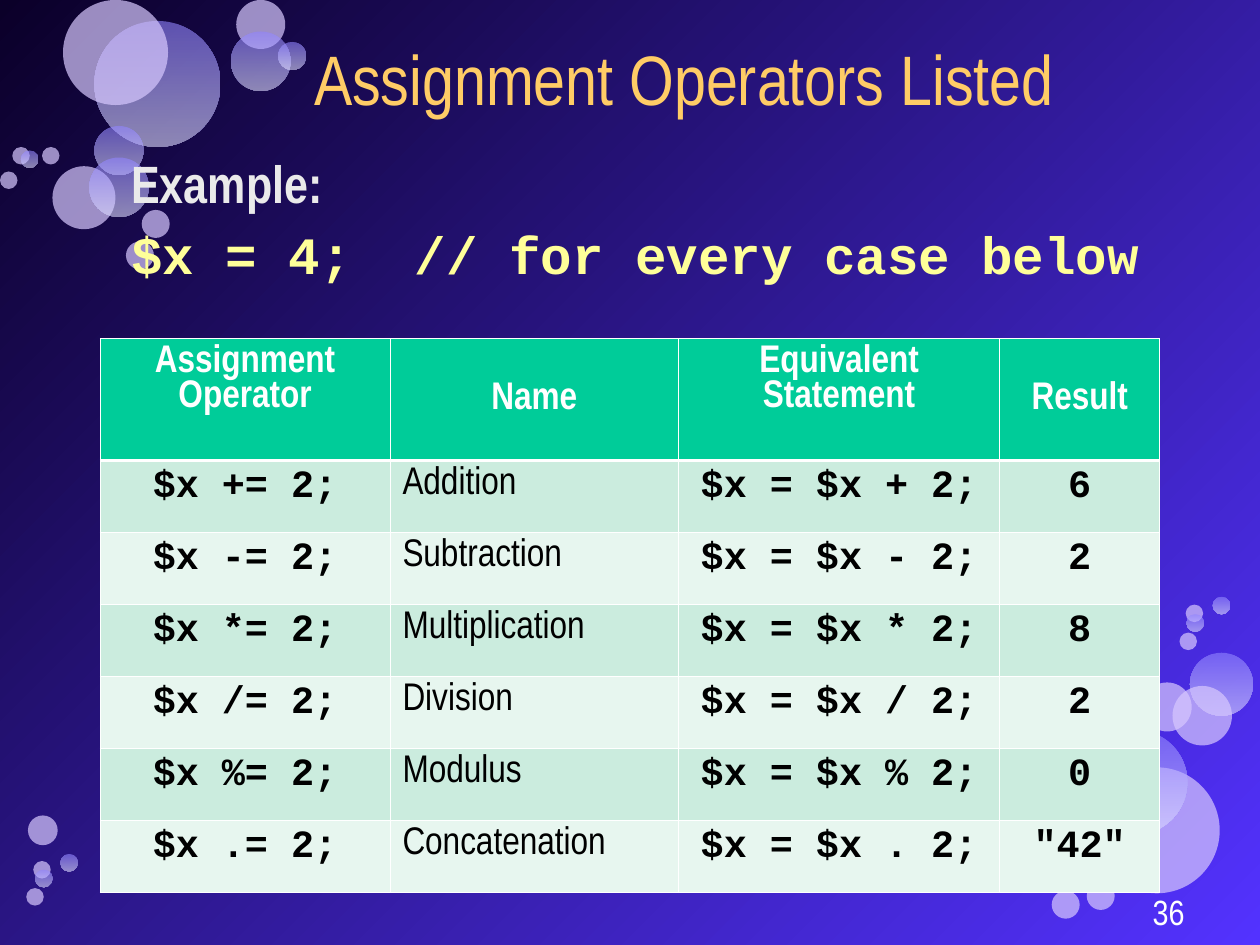
import pptx
import pptx.dml.color
import pptx.enum.shapes
import pptx.enum.text
import pptx.oxml
import pptx.oxml.ns
import pptx.util
from lxml import etree

Pt = pptx.util.Pt
RGB = pptx.dml.color.RGBColor
ALIGN = pptx.enum.text.PP_ALIGN
ANCHOR = pptx.enum.text.MSO_ANCHOR
qn = pptx.oxml.ns.qn

NIGHT = RGB(0x0B, 0x00, 0x29)
VIOLET = RGB(0x53, 0x32, 0xFF)
LAVENDER = RGB(0xD7, 0xC8, 0xFE)
PERIWINKLE = RGB(0x91, 0x85, 0xFF)
PALE = RGB(0xDE, 0xDC, 0xFF)
GOLD = RGB(0xFF, 0xCC, 0x66)
SILVER = RGB(0xEA, 0xEA, 0xEA)
YELLOW = RGB(0xFF, 0xFF, 0x99)
WHITE = RGB(0xFF, 0xFF, 0xFF)
BLACK = RGB(0x00, 0x00, 0x00)
GREEN = RGB(0x00, 0xCC, 0x99)
MINT = RGB(0xCB, 0xEC, 0xDE)
LIGHT_MINT = RGB(0xE7, 0xF6, 0xEF)

SANS, MONO = "Arial Narrow", "Courier New"
TITLE = dict(name=SANS, size=Pt(40), bold=False, color=GOLD)
LABEL = dict(name=SANS, size=Pt(30), bold=True, color=SILVER)
SAMPLE = dict(name=MONO, size=Pt(30), bold=True, color=YELLOW)
HEADING = dict(name=SANS, size=Pt(22), bold=True, color=WHITE)
CODE = dict(name=MONO, size=Pt(22), bold=True, color=BLACK)
WORD = dict(name=SANS, size=Pt(22), bold=False, color=BLACK)
NUMBER = dict(name=SANS, size=Pt(20), bold=False, color=WHITE)

MIST, GLOW = "mist", "glow"
BUBBLES = [
    (54, 12, 72, GLOW), (30, 95, 36, MIST), (54, 72, 28, GLOW), (51, 90, 34, GLOW),
    (36, 0, 60, MIST), (135, 0, 28, MIST), (132, 18, 34, GLOW), (159, 24, 16, GLOW),
    (81, 120, 16, MIST), (7, 84, 10, MIST), (72, 138, 16, MIST), (0, 98, 10, MIST),
    (12, 86, 10, GLOW), (24, 84, 10, MIST),
    (625, 438.5, 72, MIST), (680, 373, 36, GLOW), (653, 390, 28, MIST),
    (670, 392, 34, MIST), (618.5, 417, 60, GLOW), (16, 466, 17, MIST),
    (582, 454, 34, MIST), (584, 480, 16, GLOW), (601, 509, 16, MIST),
    (677.5, 345.5, 10, MIST), (621, 504, 16, MIST), (693, 341, 10, GLOW),
    (678, 351, 10, GLOW), (674, 361.5, 10, MIST), (19, 492, 10, MIST),
    (34.5, 488, 10, GLOW), (20, 497, 10, GLOW), (15, 507.5, 10, MIST),
]

HEADERS = ["Assignment Operator", "Name", "Equivalent Statement", "Result"]
OPERATORS = [("+", "Addition", "6"), ("-", "Subtraction", "2"),
             ("*", "Multiplication", "8"), ("/", "Division", "2"),
             ("%", "Modulus", "0"), (".", "Concatenation", '"42"')]
COLUMN_WIDTHS = [165.6, 164.9, 183.6, 91.4]
HEADER_HEIGHT, ROW_HEIGHT = 69.7, 41.14


def assign(target, values):
    for key, value in values.items():
        setattr(target, key, value)


class BubbleDeck:
    def __init__(self, slide):
        self.slide = slide
        self.shapes = slide.shapes

    def gradient(self, fill, colors, angle):
        fill.gradient()
        fill.gradient_angle = angle
        for stop, color in zip(fill.gradient_stops, colors):
            stop.color.rgb = color

    def fade(self, shape, opacity):
        for color in shape.element.spPr.iter(qn("a:srgbClr")):
            etree.SubElement(color, qn("a:alpha"), val=str(opacity * 1000))

    def background(self):
        self.gradient(self.slide.background.fill, (NIGHT, VIOLET), 315)

    def bubble(self, left, top, diameter, kind):
        circle = self.shapes.add_shape(pptx.enum.shapes.MSO_SHAPE.OVAL,
                                       Pt(left), Pt(top), Pt(diameter), Pt(diameter))
        circle.shadow.inherit = False
        circle.line.fill.background()
        if kind == GLOW:
            self.gradient(circle.fill, (PERIWINKLE, PALE), 270)
        else:
            circle.fill.solid()
            circle.fill.fore_color.rgb = LAVENDER
        self.fade(circle, 60 if kind == GLOW else 70)

    def text(self, paragraph, wording, font, **layout):
        run = paragraph.add_run()
        run.text = wording
        assign(run.font, {key: font[key] for key in ("name", "size", "bold")})
        run.font.color.rgb = font["color"]
        assign(paragraph, layout)

    def frame(self, shape, box, anchor, margins=(0, 0)):
        assign(shape, dict(zip(("left", "top", "width", "height"), map(Pt, box))))
        side, edge = map(Pt, margins)
        assign(shape.text_frame, dict(
            word_wrap=True, auto_size=pptx.enum.text.MSO_AUTO_SIZE.NONE,
            vertical_anchor=anchor, margin_left=side, margin_right=side,
            margin_top=edge, margin_bottom=edge))
        return shape.text_frame

    def title(self, wording, box):
        heading = self.shapes.title
        self.shapes.element.append(heading.element)
        self.text(self.frame(heading, box, ANCHOR.MIDDLE).paragraphs[0], wording, TITLE,
                  alignment=ALIGN.CENTER, line_spacing=0.85, space_before=Pt(0))

    def body(self, lines, box):
        example = self.slide.placeholders[1]
        self.shapes.element.append(example.element)
        frame = self.frame(example, box, ANCHOR.TOP)
        for index, (wording, font) in enumerate(lines):
            paragraph = frame.add_paragraph() if index else frame.paragraphs[0]
            properties = paragraph._p.get_or_add_pPr()
            properties.set("marL", "0")
            properties.set("indent", "0")
            etree.SubElement(properties, qn("a:buNone"))
            self.text(paragraph, wording, font, alignment=ALIGN.LEFT, line_spacing=0.91,
                      space_before=Pt(8 if index else 0))

    def page_number(self, wording, box):
        number = self.shapes.add_textbox(0, 0, 0, 0)
        self.text(self.frame(number, box, ANCHOR.MIDDLE, (7.2, 3.6)).paragraphs[0],
                  wording, NUMBER, alignment=ALIGN.RIGHT, line_spacing=0.85)

    def cell(self, cell, wording, font, fill, anchor, borders, **layout):
        properties = cell._tc.get_or_add_tcPr()
        for side, width in borders.items():
            line = etree.SubElement(properties, qn("a:ln" + side), w=str(int(Pt(width))))
            solid = etree.SubElement(line, qn("a:solidFill"))
            etree.SubElement(solid, qn("a:srgbClr"), val=str(WHITE))
        cell.fill.solid()
        cell.fill.fore_color.rgb = fill
        cell.vertical_anchor = anchor
        self.text(cell.text_frame.paragraphs[0], wording, font, **layout)

    def table(self, left, top):
        heights = [HEADER_HEIGHT] + [ROW_HEIGHT] * len(OPERATORS)
        table = self.shapes.add_table(len(heights), len(COLUMN_WIDTHS), Pt(left), Pt(top),
                                      Pt(sum(COLUMN_WIDTHS)), Pt(sum(heights))).table
        for column, width in zip(table.columns, COLUMN_WIDTHS):
            column.width = Pt(width)
        for row, height in zip(table.rows, heights):
            row.height = Pt(height)
        rows = [HEADERS] + [(f"$x {sign}= 2;", name, f"$x = $x {sign} 2;", result)
                            for sign, name, result in OPERATORS]
        for r, wordings in enumerate(rows):
            borders = dict(L=0.45, R=0.45, T=1.47 if r == 1 else 0.45,
                           B=1.47 if r == 0 else 0.45)
            fill = GREEN if r == 0 else MINT if r % 2 else LIGHT_MINT
            for c, wording in enumerate(wordings):
                is_name = r > 0 and c == 1
                font = HEADING if r == 0 else WORD if is_name else CODE
                self.cell(table.cell(r, c), wording, font, fill,
                          ANCHOR.MIDDLE if r == 0 and c % 2 else ANCHOR.TOP, borders,
                          alignment=ALIGN.LEFT if is_name else ALIGN.CENTER,
                          line_spacing=0.89 if font is CODE else 0.96)


def main():
    presentation = pptx.Presentation()
    assign(presentation, dict(slide_width=Pt(720), slide_height=Pt(540)))
    deck = BubbleDeck(presentation.slides.add_slide(presentation.slide_layouts[1]))
    deck.background()
    for bubble in BUBBLES:
        deck.bubble(*bubble)
    deck.body([("Example:", LABEL), ("$x = 4;  // for every case below", SAMPLE)],
              (75, 90, 634, 86))
    deck.title("Assignment Operators Listed", (75, 16.5, 631.5, 63.5))
    deck.table(57.2, 193.5)
    deck.page_number("36", (516, 513, 168, 20))
    presentation.save("out.pptx")


if __name__ == "__main__":
    main()
